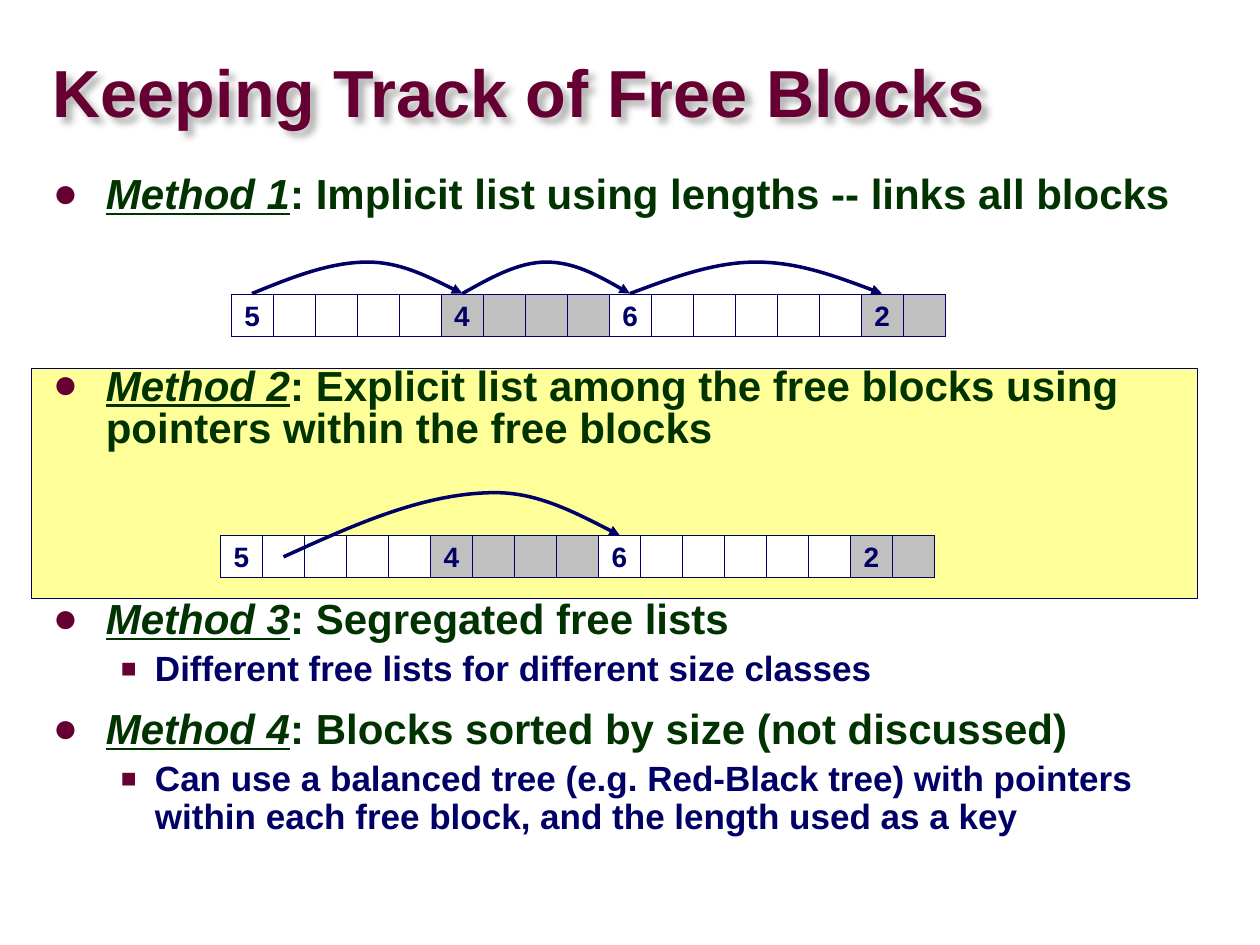
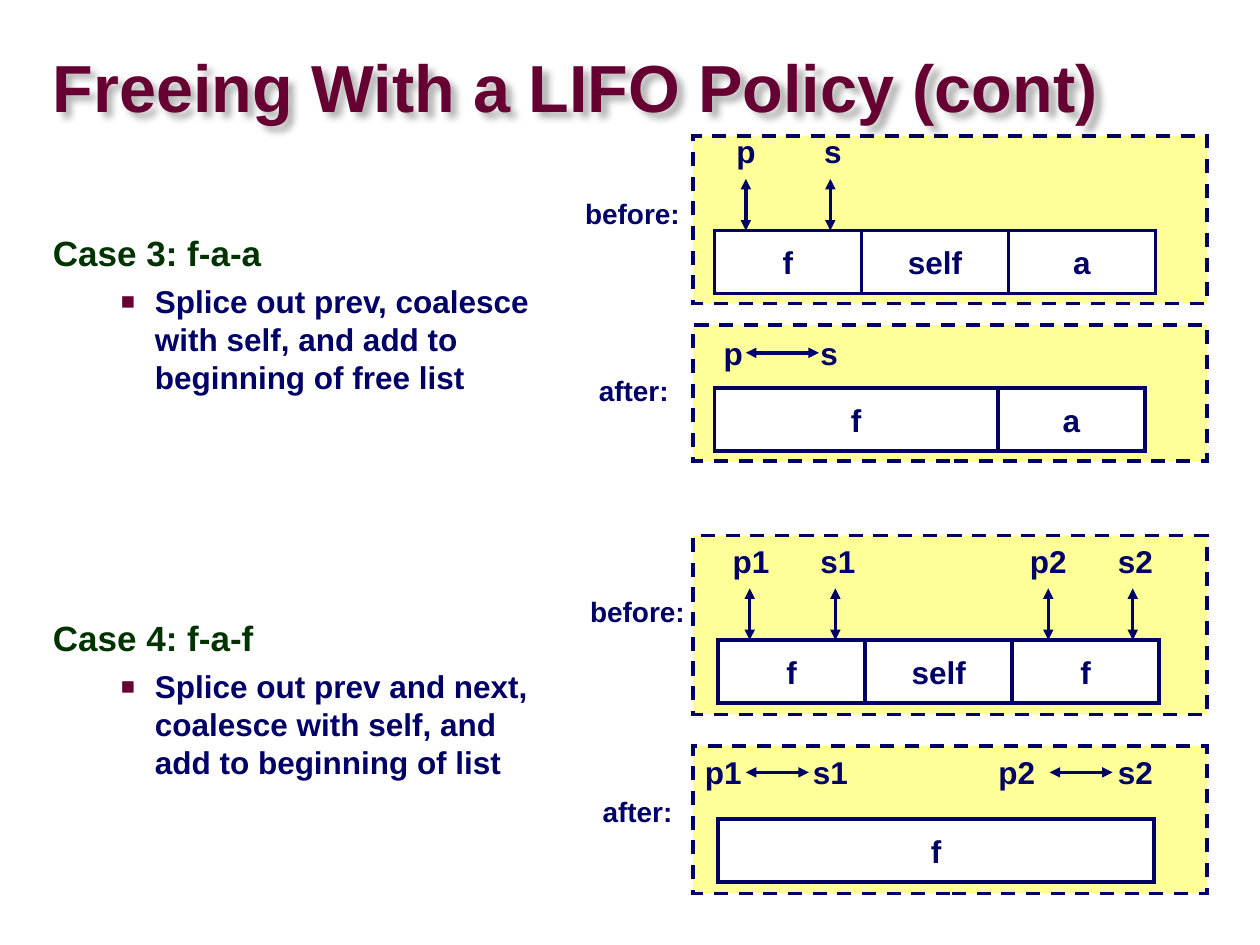
from lxml.etree import SubElement
from pptx import Presentation
from pptx.dml.color import RGBColor
from pptx.enum.dml import MSO_LINE_DASH_STYLE as Dash
from pptx.enum.shapes import MSO_CONNECTOR as Connector, MSO_SHAPE as Preset
from pptx.enum.text import MSO_ANCHOR as Anchor, MSO_AUTO_SIZE as AutoSize, PP_ALIGN as Align
from pptx.oxml.ns import qn
from pptx.util import Inches, Pt

FONT = "Arial"
NAVY, MAROON, GREEN = "000066", "660033", "003300"
WHITE, GRAY, YELLOW = "FFFFFF", "C0C0C0", "FFFF99"

# Body lines: (level, underlined lead, text, points of space before)
METHODS = [
    (0, "Method 1", ": Implicit list using lengths -- links all blocks", 0),
    (0, "Method 2", ": Explicit list among the free blocks using pointers within the free blocks", 85),
    (0, "Method 3", ": Segregated free lists", 84.5),
    (1, "", "Different free lists for different size classes", 4.75),
    (0, "Method 4", ": Blocks sorted by size (not discussed)", 12),
    (1, "", "Can use a balanced tree (e.g. Red-Black tree) with pointers within each "
            "free block, and the length used as a key", 4.75),
]
CASES = [
    (0, "", "Case 3: f-a-a", 0),
    (1, "", "Splice out prev, coalesce with self, and add to beginning of free list", 4.5),
    (0, "", "Case 4: f-a-f", 128),
    (1, "", "Splice out prev and next, coalesce with self, and add to beginning of list", 4.5),
]

# Heap rows: block lengths in words, with the fill of each block
CELL = 1 / 3
HEAP = [(5, WHITE), (4, GRAY), (6, WHITE), (2, GRAY)]
HEAP_ROWS = [(5.5 * CELL, 7 * CELL), (1.75, 4.25)]
# Arcs: start, end, top of the arc, share of the width at which it peaks
ARCS = [
    ((2, 2.33), (3.67, 2.33), 2.08, 0.55),
    ((3.67, 2.33), (5, 2.33), 2.08, 0.5),
    ((5, 2.33), (7, 2.33), 2.08, 0.5),
    ((2.25, 4.42), (4.92, 4.25), 3.91, 0.63),
]

# Panels: blocks are (text, width), tags (text, centre x); arrows are x values
# down to the blocks ("before") or (from x, to x) level with the tags ("after")
THIRD = 7 / 6
PANELS = [
    dict(top=1.08, height=1.33, caption="before:", caption_at=(5.02, 1.69),
         left=5.67, row=1.83, blocks=[("f", THIRD), ("self", THIRD), ("a", THIRD)],
         tag_y=1.2, tags=[("p", 5.92), ("s", 6.61)], drops=[5.92, 6.59]),
    dict(top=2.58, height=1.08, caption="after:", caption_at=(5.03, 3.1),
         left=5.67, row=3.08, blocks=[("f", 2.25), ("a", THIRD)],
         tag_y=2.8, tags=[("p", 5.82), ("s", 6.58)], links=[(5.92, 6.5)]),
    dict(top=4.25, height=1.42, caption="before:", caption_at=(5.06, 4.85),
         left=5.7, row=5.08, blocks=[("f", THIRD), ("self", THIRD), ("f", THIRD)],
         tag_y=4.45, tags=[("p1", 5.96), ("s1", 6.65), ("p2", 8.32), ("s2", 9.01)],
         drops=[5.95, 6.63, 8.32, 8.99]),
    dict(top=5.92, height=1.17, caption="after:", caption_at=(5.06, 6.44),
         left=5.7, row=6.5, blocks=[("f", 3.46)],
         tag_y=6.13, tags=[("p1", 5.74), ("s1", 6.59), ("p2", 8.07), ("s2", 9.01)],
         links=[(5.92, 6.42), (8.33, 8.83)]),
]


def color(value):
    """Turn a hex string into a colour."""
    return RGBColor.from_string(value)


def set_font(font, size, shade):
    """Apply the deck's bold face in a size and colour."""
    font.name, font.size, font.bold = FONT, Pt(size), True
    font.color.rgb = color(shade)


def place(shape, left, top, width, height):
    """Move and size a shape, in inches."""
    shape.left, shape.top = Inches(left), Inches(top)
    shape.width, shape.height = Inches(width), Inches(height)


def set_line(shape, width, dash=None, ends=()):
    """Give a shape or connector a navy line, mitred, with triangles on its ends."""
    shape.line.color.rgb = color(NAVY)
    shape.line.width = Pt(width)
    if dash:
        shape.line.dash_style = dash
    line = shape.line._get_or_add_ln()
    SubElement(line, qn("a:miter"), lim="800000")
    for end in ends:
        SubElement(line, qn(f"a:{end}"), type="triangle")


def write_centred(shape, text, size):
    """Write one unwrapped, centred line in a shape."""
    frame = shape.text_frame
    frame.word_wrap = False
    frame.vertical_anchor = Anchor.MIDDLE
    para = frame.paragraphs[0]
    para.text, para.alignment = text, Align.CENTER
    set_font(para.font, size, NAVY)


def add_box(page, at, fill, width, dash=None, text="", size=18):
    """Add an outlined rectangle, with text if there is any."""
    box = page.shapes.add_shape(Preset.RECTANGLE, *map(Inches, at))
    box.shadow.inherit = False
    box.fill.solid()
    box.fill.fore_color.rgb = color(fill)
    set_line(box, width, dash)
    if text:
        write_centred(box, text, size)
    return box


def add_label(page, text, x, y, size, width, height=0.4):
    """Add a text box centred on a point."""
    label = page.shapes.add_textbox(
        *map(Inches, (x - width / 2, y - height / 2, width, height)))
    write_centred(label, text, size)


def add_arrow(page, start, end):
    """Add a straight arrow with two heads."""
    arrow = page.shapes.add_connector(
        Connector.STRAIGHT, *map(Inches, (*start, *end)))
    set_line(arrow, 2, ends=("headEnd", "tailEnd"))
    SubElement(arrow.element.spPr, qn("a:effectLst"))


def add_arc(page, start, end, top, peak):
    """Add a curved arrow that rises to its peak and falls to its end."""
    (x0, y0), (x1, y1) = start, end
    mid = x0 + (x1 - x0) * peak
    rise, fall = (mid - x0) / 3, (x1 - mid) / 3
    points = [(x0 + rise, (y0 + top) / 2), (mid - rise, top), (mid, top),
              (mid + fall, top), (x1 - fall, (y1 + top) / 2), end]
    builder = page.shapes.build_freeform(Inches(x0), Inches(y0))
    builder.add_line_segments([(Inches(x), Inches(y)) for x, y in points], close=False)
    arc = builder.convert_to_shape()
    bend_segments(arc)
    arc.shadow.inherit = False
    arc.fill.background()
    set_line(arc, 2, ends=("tailEnd",))


def bend_segments(outline):
    """Turn each three straight segments into one cubic curve."""
    segments = list(outline.element.iter(qn("a:lnTo")))
    route = segments[0].getparent()
    for i in range(0, len(segments), 3):
        curve = SubElement(route, qn("a:cubicBezTo"))
        for segment in segments[i:i + 3]:
            curve.append(segment[0])
            route.remove(segment)


def set_bullet(para, level, char):
    """Set a paragraph's hanging indent and its bullet, if any."""
    props = para._p.get_or_add_pPr()
    margin, hang = ((0.42, 0.42), (0.81, 0.27))[level]
    props.set("marL", str(Inches(margin)))
    props.set("indent", str(-Inches(hang)))
    if not char:
        SubElement(props, qn("a:buNone"))
        return
    shade = SubElement(props, qn("a:buClr"))
    SubElement(shade, qn("a:srgbClr"), val=MAROON)
    SubElement(props, qn("a:buSzPct"), val=("100000", "75000")[level])
    SubElement(props, qn("a:buFont"), typeface=FONT)
    SubElement(props, qn("a:buChar"), char=char)


def fill_title(page, text, at):
    """Write the slide title with its soft shadow."""
    title = page.shapes.title
    place(title, *at)
    frame = title.text_frame
    frame.margin_left = frame.margin_right = frame.margin_top = frame.margin_bottom = 0
    frame.vertical_anchor, frame.auto_size = Anchor.MIDDLE, AutoSize.NONE
    frame.word_wrap = True
    para = frame.paragraphs[0]
    para.text, para.alignment, para.line_spacing = text, Align.LEFT, 0.87
    set_font(para.font, 38, MAROON)
    effects = SubElement(title.element.spPr, qn("a:effectLst"))
    shadow = SubElement(effects, qn("a:outerShdw"), blurRad="50800", dist="50800",
                        dir="2700000", algn="tl", rotWithShape="0")
    shade = SubElement(shadow, qn("a:srgbClr"), val="000000")
    SubElement(shade, qn("a:alpha"), val="30000")


def fill_body(page, lines, at, sizes, spacings, bullets):
    """Write the body list; sizes, spacings and bullets go by level."""
    body = page.placeholders[1]
    place(body, *at)
    frame = body.text_frame
    frame.auto_size, frame.word_wrap = AutoSize.NONE, True
    for i, (level, lead, text, before) in enumerate(lines):
        para = frame.add_paragraph() if i else frame.paragraphs[0]
        para.level = level
        set_bullet(para, level, bullets[level])
        para.line_spacing, para.space_before = spacings[level], Pt(before)
        para.alignment = Align.LEFT
        set_font(para.font, sizes[level], (GREEN, NAVY)[level])
        if lead:
            span = para.add_run()
            span.text, span.font.italic, span.font.underline = lead, True, True
        para.add_run().text = text


def add_heap(page, left, top):
    """Add a row of cells; the first of each block shows its length."""
    column = 0
    for length, fill in HEAP:
        for word in range(length):
            at = (left + column * CELL, top, CELL, CELL)
            add_box(page, at, fill, 0.25, text="" if word else str(length), size=16)
            column += 1


def add_panel(page, panel):
    """Add the blocks, tags, arrows and caption of one panel."""
    left, row, tag_y = panel["left"], panel["row"], panel["tag_y"]
    for text, width in panel["blocks"]:
        add_box(page, (left, row, width, 0.5), WHITE, 2, text=text)
        left += width
    for text, x in panel["tags"]:
        add_label(page, text, x, tag_y, 18, 0.36 if len(text) == 1 else 0.52)
    for x in panel.get("drops", []):
        add_arrow(page, (x, row - 0.41), (x, row))
    for start, end in panel.get("links", []):
        add_arrow(page, (start, tag_y), (end, tag_y))
    add_label(page, panel["caption"], *panel["caption_at"], 16, 0.97, 0.37)


deck = Presentation()
deck.slide_width, deck.slide_height = Inches(10), Inches(7.5)
layout = deck.slide_layouts[1]

page = deck.slides.add_slide(layout)
highlight = add_box(page, (0.25, 2.92, 9.25, 1.83), YELLOW, 0.25, Dash.ROUND_DOT)
page.shapes.title.element.addprevious(highlight.element)
fill_title(page, "Keeping Track of Free Blocks", (0.42, 0.45, 8.92, 0.63))
fill_body(page, METHODS, (0.32, 1.34, 9.09, 5.71), (24, 20), (0.85, 0.9), "●■")
for left, top in HEAP_ROWS:
    add_heap(page, left, top)
for arc in ARCS:
    add_arc(page, *arc)

page = deck.slides.add_slide(layout)
for panel in PANELS:
    back = add_box(page, (5.5, panel["top"], 4.08, panel["height"]), YELLOW, 2, Dash.DASH)
    page.shapes.title.element.addprevious(back.element)
fill_title(page, "Freeing With a LIFO Policy (cont)", (0.42, 0.41, 8.53, 0.63))
fill_body(page, CASES, (0.32, 1.81, 4.21, 4.68), (20, 18), (0.95, 1.0), ("", "■"))
for panel in PANELS:
    add_panel(page, panel)

deck.save("out.pptx")
